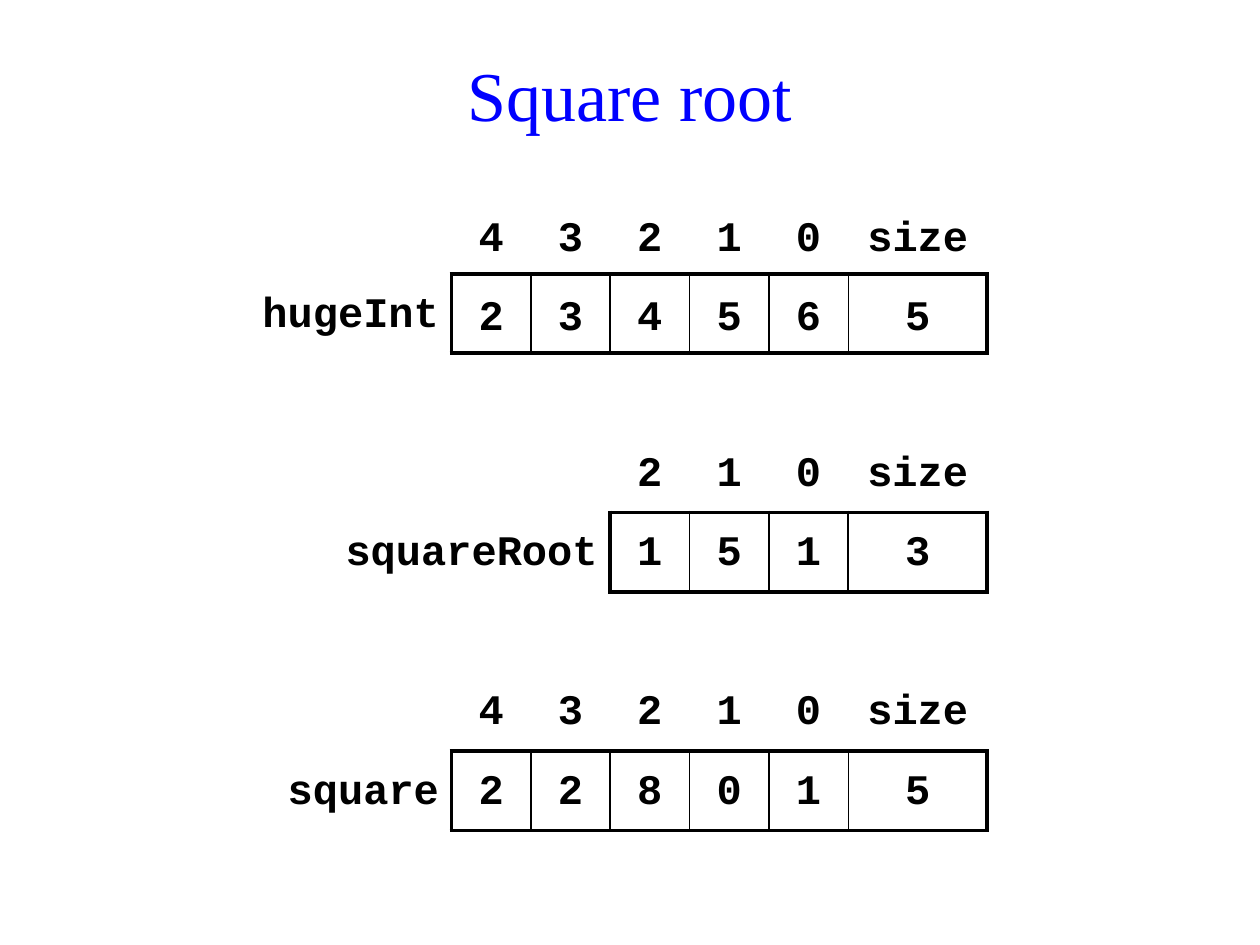
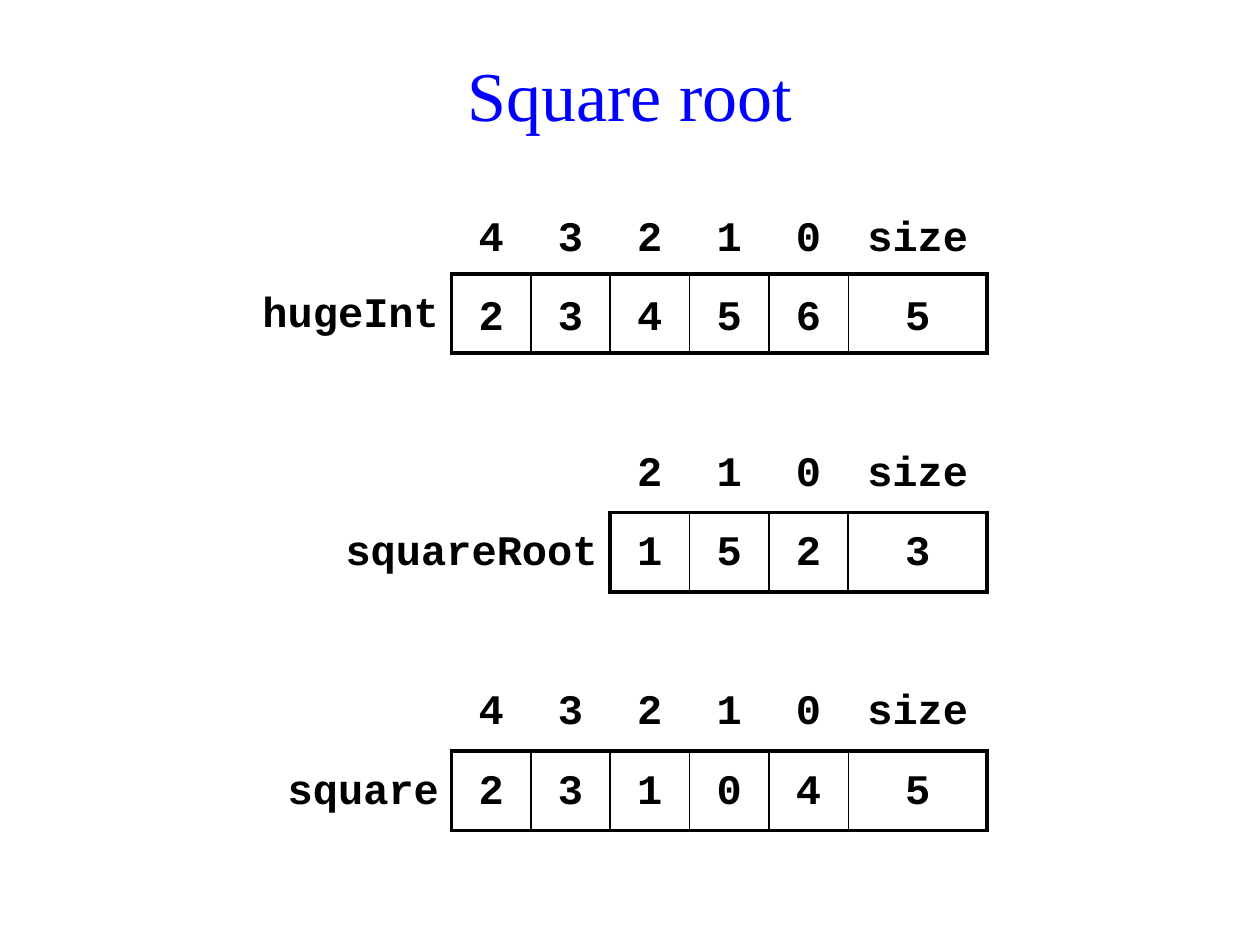
import lxml.etree
import pptx
import pptx.dml.color
import pptx.enum.text
import pptx.oxml.ns
import pptx.util

Cm = pptx.util.Cm
Pt = pptx.util.Pt
ALIGN = pptx.enum.text.PP_ALIGN
ANCHOR = pptx.enum.text.MSO_ANCHOR
qn = pptx.oxml.ns.qn

BLUE = pptx.dml.color.RGBColor(0x00, 0x00, 0xFF)
BLACK = pptx.dml.color.RGBColor(0x00, 0x00, 0x00)
PLAIN_STYLE = "{2D5ABB26-0587-4C30-8999-92F81FD0307C}"


class Deck:
    """Style of the number slides and the slide being filled."""

    TITLE_FONT, CODE_FONT = "Times New Roman", "Courier New"
    DIGIT, SIZE, ROW = 1.6, 2.8, 1.6
    RIGHT, TOP, PITCH = 19.9, 3.92, 4.81
    THICK, THIN = 2.25, 1

    def __init__(self):
        self.prs = pptx.Presentation()
        self.prs.slide_width = Cm(25.4)
        self.prs.slide_height = Cm(19.05)
        self.s = None

    def add_slide(self):
        self.s = self.prs.slides.add_slide(self.prs.slide_layouts[6])

    def style(self, p, font, size, color, align, bold=False):
        p.alignment = align
        for r in p.runs:
            r.font.name, r.font.size, r.font.bold = font, Pt(size), bold
            r.font.color.rgb = color

    def title(self, text):
        sp = self.s.shapes.add_textbox(Cm(1.5), Cm(0.7), Cm(22.4), Cm(2.37))
        tf = sp.text_frame
        tf.word_wrap = True
        tf.vertical_anchor = ANCHOR.MIDDLE
        tf.text = text
        self.style(tf.paragraphs[0], self.TITLE_FONT, 40, BLUE, ALIGN.CENTER)

    def borders(self, cell, **widths):
        tc_pr = cell._tc.get_or_add_tcPr()
        for side in "LRTB":
            if side in widths:
                ln = lxml.etree.SubElement(tc_pr, qn(f"a:ln{side}"), w=str(Pt(widths[side])))
                fill = lxml.etree.SubElement(ln, qn("a:solidFill"))
                lxml.etree.SubElement(fill, qn("a:srgbClr"), val=str(BLACK))

    def cell(self, cell, text, align, anchor, **widths):
        self.borders(cell, **widths)
        cell.fill.background()
        cell.vertical_anchor = anchor
        if text:
            cell.text_frame.text = text
            p = cell.text_frame.paragraphs[0]
            p.line_spacing = 1.25
            self.style(p, self.CODE_FONT, 24, BLACK, align, bold=True)

    def number(self, band, name, label_width, digits, anchor=ANCHOR.TOP):
        count = len(digits)
        widths = [label_width] + [self.DIGIT] * count + [self.SIZE]
        total = sum(widths)
        top = self.TOP + band * self.PITCH
        sp = self.s.shapes.add_table(2, count + 2, Cm(self.RIGHT - total), Cm(top),
                                     Cm(total), Cm(2 * self.ROW))
        table = sp.table
        table.first_row = table.horz_banding = False
        table._tbl.tblPr.find(qn("a:tableStyleId")).text = PLAIN_STYLE
        for column, width in zip(table.columns, widths):
            column.width = Cm(width)

        self.cell(table.cell(0, 0), "", ALIGN.RIGHT, ANCHOR.TOP)
        self.cell(table.cell(1, 0), name, ALIGN.RIGHT, ANCHOR.TOP, R=self.THICK)
        heads = [str(i) for i in reversed(range(count))] + ["size"]
        values = list(digits) + [str(count)]
        for col, (head, value) in enumerate(zip(heads, values), start=1):
            self.cell(table.cell(0, col), head, ALIGN.CENTER, anchor)
            self.cell(table.cell(1, col), value, ALIGN.CENTER, anchor,
                      L=self.THICK if col == 1 else self.THIN,
                      R=self.THICK if col == count + 1 else self.THIN,
                      T=self.THICK, B=self.THICK)


def main():
    deck = Deck()
    for root, square in (("151", "22801"), ("152", "23104")):
        deck.add_slide()
        deck.title("Square root")
        deck.number(0, "hugeInt", 4.4, "23456", ANCHOR.MIDDLE)
        deck.number(1, "squareRoot", 5.6, root)
        deck.number(2, "square", 3.6, square)
    deck.prs.save("out.pptx")


if __name__ == "__main__":
    main()
